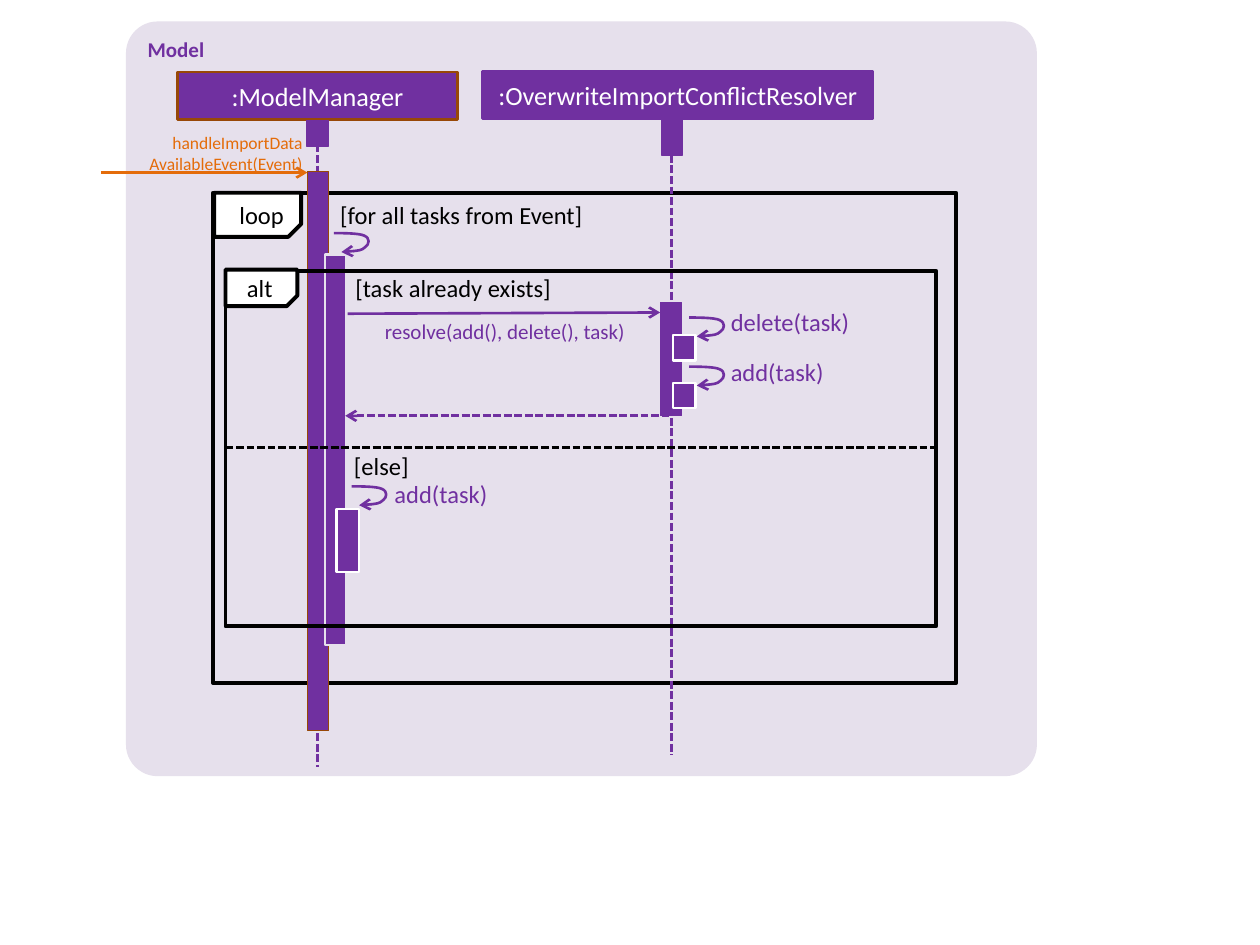
from lxml import etree
from pptx import Presentation
from pptx import util as u
from pptx.dml.color import RGBColor
from pptx.enum import dml, shapes, text
from pptx.oxml.ns import qn

THEME = dict(
    purple="7030A0", panel="E6E0EC", brown="984807", orange="E46C0A",
    black="000000", white="FFFFFF", font="Calibri",
    head=15, label=14, small=12, tiny=10)
RECT = shapes.MSO_SHAPE.RECTANGLE
LEFT, CENTER, RIGHT = text.PP_ALIGN.LEFT, text.PP_ALIGN.CENTER, text.PP_ALIGN.RIGHT

prs = Presentation()
prs.slide_width, prs.slide_height = u.Inches(10), u.Inches(7.5)
s = prs.slides.add_slide(prs.slide_layouts[6])


def draw(sp, fill=None, line=None, width=1.5, dashed=False, arrow=None):
    """Style a shape or connector; arrow is 'headEnd' or 'tailEnd'."""
    if hasattr(sp, "fill"):
        sp.shadow.inherit = False
        if fill:
            sp.fill.solid()
            sp.fill.fore_color.rgb = RGBColor.from_string(THEME[fill])
        else:
            sp.fill.background()
    else:
        etree.SubElement(sp._element.spPr, qn("a:effectLst"))
    if not line:
        sp.line.fill.background()
        return sp
    sp.line.color.rgb = RGBColor.from_string(THEME[line])
    sp.line.width = u.Pt(width)
    if dashed:
        sp.line.dash_style = dml.MSO_LINE.SQUARE_DOT
    if arrow:
        ln = sp._element.spPr.find(qn("a:ln"))
        etree.SubElement(ln, qn("a:" + arrow), type="arrow")
    return sp


def write(sp, words, size, color, align=LEFT, bold=False, inset=0.0):
    """Put one styled paragraph into a shape and return the paragraph."""
    tf = sp.text_frame
    tf.word_wrap = True
    tf.margin_left = tf.margin_right = u.Inches(inset)
    tf.margin_top = tf.margin_bottom = u.Inches(inset / 2)
    p = tf.paragraphs[0]
    p.text, p.alignment = words, align
    p.font.name, p.font.size, p.font.bold = THEME["font"], u.Pt(THEME[size]), bold
    p.font.color.rgb = RGBColor.from_string(THEME[color])
    for r in p.runs:
        r.font.color.rgb = RGBColor.from_string(THEME[color])
    return p


# Panel and loop frame
panel = s.shapes.add_shape(shapes.MSO_SHAPE.ROUNDED_RECTANGLE,
                           *map(u.Inches, (1, 0.17, 7.23, 5.99)))
panel.adjustments[0] = 0.042
draw(panel, "panel")
write(panel, "Model", "small", "purple", bold=True, inset=0.1)
panel.text_frame.vertical_anchor = text.MSO_ANCHOR.TOP
loop_frame = s.shapes.add_shape(RECT, *map(u.Inches, (1.69, 1.53, 5.9, 3.89)))
draw(loop_frame, line="black", width=2.25)

# Lifelines
for x, top, bottom in [(2.52, 0.98, 6.09), (5.33, 1.23, 5.99)]:
    lifeline = s.shapes.add_connector(shapes.MSO_CONNECTOR.STRAIGHT,
                                      *map(u.Inches, (x, top, x, bottom)))
    draw(lifeline, line="purple", dashed=True)

# Participants
for box, name, edge in [
        ((1.41, 0.57, 2.22, 0.38), ":ModelManager", "brown"),
        ((3.83, 0.57, 3.1, 0.37), ":OverwriteImportConflictResolver", "purple")]:
    head = draw(s.shapes.add_shape(RECT, *map(u.Inches, box)), "purple", edge)
    write(head, name, "head", "white", CENTER)
    head.text_frame.vertical_anchor = text.MSO_ANCHOR.MIDDLE

# Activation bars
for box, edge, width in [
        ((2.44, 1.36, 0.17, 4.44), "brown", 0.75),
        ((5.24, 2.4, 0.17, 0.9), "purple", 0.75),
        ((5.25, 0.95, 0.17, 0.28), "purple", 0.75),
        ((2.58, 2.02, 0.17, 3.1), "panel", 1.5),
        ((2.43, 0.96, 0.18, 0.2), "purple", 0.75),
        ((5.34, 2.66, 0.18, 0.2), "white", 1.5),
        ((5.34, 3.04, 0.18, 0.2), "white", 1.5),
        ((2.67, 4.04, 0.18, 0.5), "white", 1.5)]:
    draw(s.shapes.add_shape(RECT, *map(u.Inches, box)), "purple", edge, width)

# Alt frame and the operator tags
alt_frame = s.shapes.add_shape(RECT, *map(u.Inches, (1.79, 2.15, 5.64, 2.82)))
draw(alt_frame, line="black", width=2.25)
for box in [(1.7, 1.53, 0.69, 0.35), (1.79, 2.14, 0.57, 0.29)]:
    tag = s.shapes.add_shape(shapes.MSO_SHAPE.SNIP_1_RECTANGLE, *map(u.Inches, box))
    tag.adjustments[0] = 0.291
    tag._element.spPr.find(qn("a:xfrm")).set("flipV", "1")
    draw(tag, "white", "black", 2.25)

# Messages and the alt divider
for ends, color, dashed, arrow in [
        ((0.8, 1.37, 2.44, 1.37), "orange", False, "tailEnd"),
        ((2.76, 2.49, 5.24, 2.48), "purple", False, "tailEnd"),
        ((2.74, 3.3, 5.31, 3.3), "purple", True, "headEnd"),
        ((1.79, 3.55, 7.43, 3.55), "black", True, None)]:
    message = s.shapes.add_connector(shapes.MSO_CONNECTOR.STRAIGHT,
                                     *map(u.Inches, ends))
    draw(message, line=color, dashed=dashed, arrow=arrow)

# Self calls: three cubic curves each, given by their control points
HOOK = [(0.06, 0), (0.2, 0), (0.24, 0.02), (0.29, 0.04), (0.28, 0.09),
        (0.25, 0.11), (0.22, 0.14), (0.11, 0.15), (0.06, 0.15)]
for x, y in [(2.65, 1.85), (5.47, 2.52), (5.47, 2.91), (2.79, 3.86)]:
    fb = s.shapes.build_freeform(u.Inches(x), u.Inches(y))
    fb.add_line_segments([(u.Inches(x + dx), u.Inches(y + dy)) for dx, dy in HOOK],
                         close=False)
    hook = draw(fb.convert_to_shape(), line="purple", arrow="tailEnd")
    outline = next(hook._element.iter(qn("a:path")))
    segments = outline.findall(qn("a:lnTo"))
    for i in range(0, len(segments), 3):
        curve = etree.SubElement(outline, qn("a:cubicBezTo"))
        for segment in segments[i:i + 3]:
            curve.append(segment[0])
            outline.remove(segment)

# Labels; the last value is the tab stop between operator and guard
for box, words, size, color, align, tab in [
        ((0.08, 1.05, 2.32, 0.34), "handleImportData\vAvailableEvent(Event)",
         "tiny", "orange", RIGHT, None),
        ((1.9, 1.59, 3.19, 0.24), "loop\t[for all tasks from Event]",
         "label", "black", LEFT, 0.8),
        ((1.96, 2.17, 3.19, 0.24), "alt\t[task already exists]",
         "label", "black", LEFT, 0.86),
        ((2.81, 3.58, 2.53, 0.24), "[else]", "label", "black", LEFT, None),
        ((2.68, 2.53, 2.28, 0.2), "resolve(add(), delete(), task)",
         "small", "purple", RIGHT, None),
        ((5.8, 2.44, 2.14, 0.24), "delete(task)", "label", "purple", LEFT, None),
        ((5.8, 2.83, 2.14, 0.24), "add(task)", "label", "purple", LEFT, None),
        ((2.43, 3.8, 2.14, 0.24), "add(task)", "label", "purple", CENTER, None)]:
    p = write(s.shapes.add_textbox(*map(u.Inches, box)), words, size, color, align)
    if tab:
        tabs = etree.Element(qn("a:tabLst"))
        etree.SubElement(tabs, qn("a:tab"), pos=str(u.Inches(tab)), algn="l")
        p._p.pPr.insert(0, tabs)

prs.save("out.pptx")
